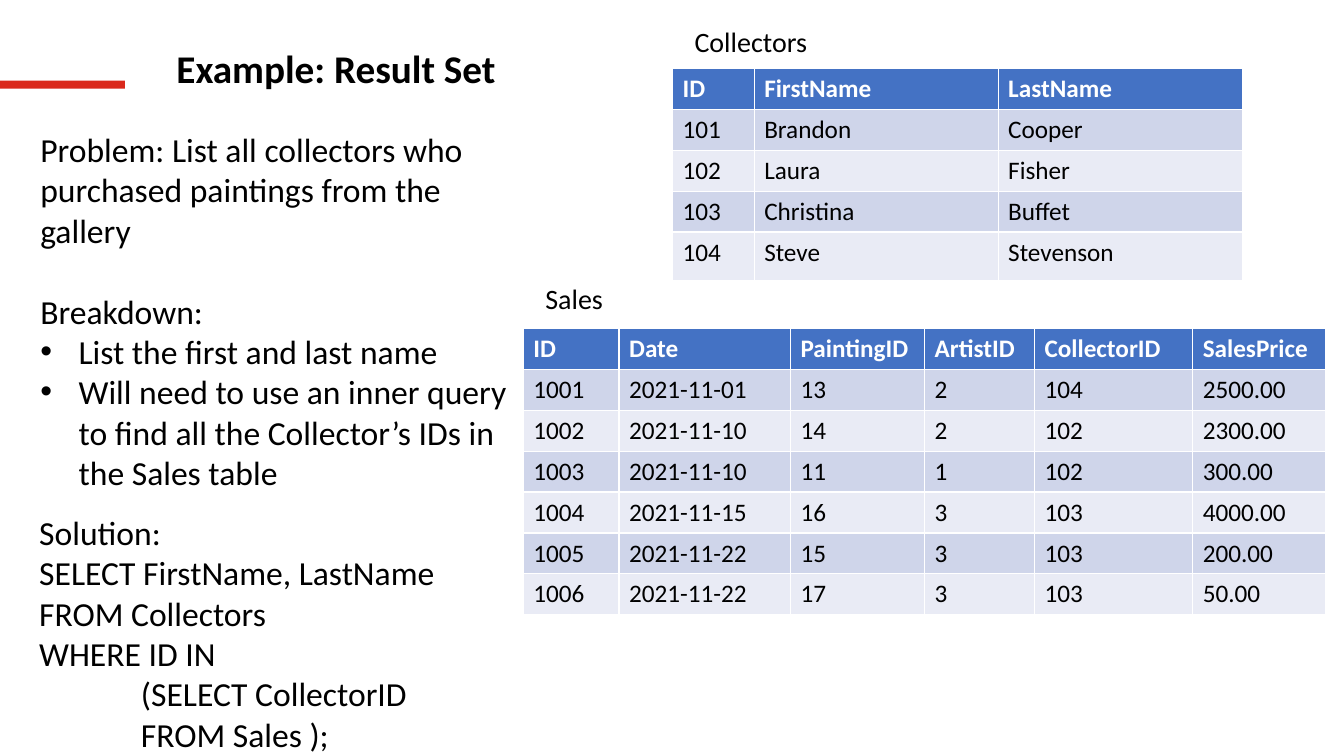
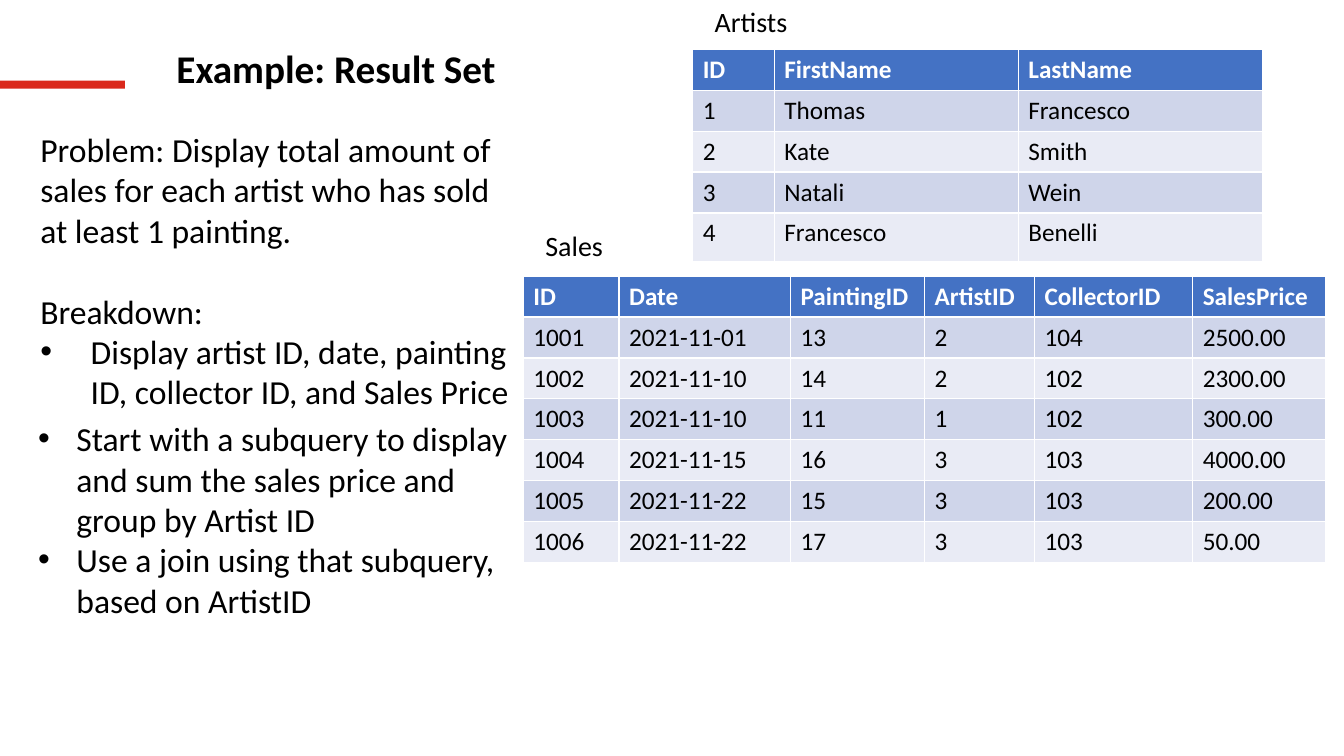
from lxml.etree import SubElement
from pptx import Presentation
from pptx.dml.color import RGBColor
from pptx.enum.shapes import MSO_SHAPE as SHAPE
from pptx.enum.text import MSO_ANCHOR as ANCHOR, MSO_AUTO_SIZE as AUTO, PP_ALIGN as ALIGN
from pptx.oxml.ns import qn
from pptx.util import Pt

PX = 9144
FONT = "Calibri"
BLACK = RGBColor(0x00, 0x00, 0x00)
WHITE = RGBColor(0xFF, 0xFF, 0xFF)
RED = RGBColor(0xDA, 0x29, 0x1C)
HEADER = RGBColor(0x44, 0x72, 0xC4)
BANDS = (RGBColor(0xE9, 0xEB, 0xF5), RGBColor(0xCF, 0xD5, 0xEA))

BODY_SIZE, LABEL_SIZE, CELL_SIZE = 24, 20, 18
BLANK_LINE = 29
PLAIN = (12, 0, 0)
AFTER_GAP = (12, 0, BLANK_LINE)
NESTED = (113, 0, 0)
BULLET = (50, -38, 0)
WIDE_BULLET = (62, -50, 0)

NAME_COLS = (81, 242, 242)
NAME_HEAD = ("ID", "FirstName", "LastName")
COLLECTORS = (
    NAME_HEAD,
    ("101", "Brandon", "Cooper"),
    ("102", "Laura", "Fisher"),
    ("103", "Christina", "Buffet"),
    ("104", "Steve", "Stevenson"),
)
ARTISTS = (
    NAME_HEAD,
    ("1", "Thomas", "Francesco"),
    ("2", "Kate", "Smith"),
    ("3", "Natali", "Wein"),
    ("4", "Francesco", "Benelli"),
)
SALES_COLS = (95, 170, 133, 109, 157, 132)
SALES = (
    ("ID", "Date", "PaintingID", "ArtistID", "CollectorID", "SalesPrice"),
    ("1001", "2021-11-01", "13", "2", "104", "2500.00"),
    ("1002", "2021-11-10", "14", "2", "102", "2300.00"),
    ("1003", "2021-11-10", "11", "1", "102", "300.00"),
    ("1004", "2021-11-15", "16", "3", "103", "4000.00"),
    ("1005", "2021-11-22", "15", "3", "103", "200.00"),
    ("1006", "2021-11-22", "17", "3", "103", "50.00"),
)


def px(*lengths):
    """Turn px lengths into EMU."""
    return [round(n * PX) for n in lengths]


def add_run(p, text, size, color=BLACK, bold=False):
    """Add one formatted run to a paragraph."""
    r = p.add_run()
    r.text = text
    r.font.name, r.font.size, r.font.bold = FONT, Pt(size), bold
    r.font.color.rgb = color


def place(sp, box):
    """Move a shape to its box and fix its text frame."""
    sp.left, sp.top, sp.width, sp.height = px(*box)
    tf = sp.text_frame
    tf.word_wrap, tf.auto_size = True, AUTO.NONE
    return tf


def fill_text(sp, box, lines, size=BODY_SIZE):
    """Write (text, style) lines into a shape placed at the box."""
    tf = place(sp, box)
    tf.vertical_anchor = ANCHOR.TOP
    for i, (text, (left, hang, before)) in enumerate(lines):
        p = tf.paragraphs[0] if i == 0 else tf.add_paragraph()
        p.line_spacing, p.space_before = 1.0, Pt(before)
        pPr = p._p.get_or_add_pPr()
        margin, indent = px(left, hang)
        pPr.set("marL", str(margin))
        pPr.set("indent", str(indent))
        if hang:
            SubElement(pPr, qn("a:buFont"), typeface="Arial")
            SubElement(pPr, qn("a:buChar"), char="•")
        else:
            SubElement(pPr, qn("a:buNone"))
        add_run(p, text, size)


def add_text(s, box, lines, size=BODY_SIZE):
    """Add a text box with its lines."""
    fill_text(s.shapes.add_textbox(*px(*box)), box, lines, size)


def add_example(prs, box, lines):
    """Add a slide with the title, the red bar and the problem text."""
    s = prs.slides.add_slide(prs.slide_layouts[1])
    tf = place(s.shapes.title, (165, 39, 1158, 57))
    tf.vertical_anchor = ANCHOR.MIDDLE
    p = tf.paragraphs[0]
    p.alignment = ALIGN.LEFT
    add_run(p, "Example: Result Set", 28, bold=True)
    bar = s.shapes.add_shape(SHAPE.RECTANGLE, *px(0, 80, 124, 8))
    bar.shadow.inherit = False
    bar.fill.solid()
    bar.fill.fore_color.rgb = RED
    bar.line.fill.background()
    fill_text(s.placeholders[1], box, lines)
    return s


def add_table(s, box, cols, rows, extra=0):
    """Add a banded table with equal rows, the last one taller by extra."""
    x, y, height = box
    table = s.shapes.add_table(len(rows), len(cols), *px(x, y, sum(cols), height)).table
    for column, width in zip(table.columns, px(*cols)):
        column.width = width
    for row in table.rows:
        row.height, = px((height - extra) / len(rows))
    row.height += px(extra)[0]
    for i, values in enumerate(rows):
        for j, value in enumerate(values):
            cell = table.cell(i, j)
            cell.fill.solid()
            cell.fill.fore_color.rgb = BANDS[i % 2] if i else HEADER
            add_run(cell.text_frame.paragraphs[0], value, CELL_SIZE,
                    BLACK if i else WHITE, bold=i == 0)


def add_names(s, x, y, label, rows):
    """Add a labelled table of people."""
    add_text(s, (x, y, 200, 44), [(label, PLAIN)], LABEL_SIZE)
    add_table(s, (x, y + 49, 208), NAME_COLS, rows, extra=8)


def add_sales(s, x, y):
    """Add the labelled sales table."""
    add_text(s, (x, y, 168, 44), [("Sales", PLAIN)], LABEL_SIZE)
    add_table(s, (x, y + 52, 284), SALES_COLS, SALES)


def add_collectors_slide(prs):
    """Build the inner query example."""
    s = add_example(prs, (18, 123, 524, 374), [
        ("Problem: List all collectors who purchased paintings from the gallery", PLAIN),
        ("Breakdown:", AFTER_GAP),
        ("List the first and last name", BULLET),
        ("Will need to use an inner query to find all the Collector’s IDs in the Sales table",
         BULLET),
    ])
    add_text(s, (17, 503, 605, 252), [
        ("Solution:", PLAIN),
        ("SELECT FirstName, LastName", PLAIN),
        ("FROM Collectors", PLAIN),
        ("WHERE ID IN", PLAIN),
        ("(SELECT CollectorID", NESTED),
        ("FROM Sales );", NESTED),
    ])
    add_names(s, 667, 19, "Collectors", COLLECTORS)
    add_sales(s, 519, 274)


def add_artists_slide(prs):
    """Build the subquery and join example."""
    s = add_example(prs, (18, 123, 501, 293), [
        ("Problem: Display total amount of sales for each artist who has sold "
         "at least 1 painting.", PLAIN),
        ("Breakdown:", AFTER_GAP),
        ("Display artist ID, date, painting ID, collector ID, and Sales Price", WIDE_BULLET),
    ])
    add_text(s, (16, 410, 520, 212), [
        ("Start with a subquery to display and sum the sales price and group by Artist ID",
         BULLET),
        ("Use a join using that subquery, based on ArtistID", BULLET),
    ])
    add_names(s, 687, 0, "Artists", ARTISTS)
    add_sales(s, 519, 222)


def main():
    """Build and save the presentation."""
    prs = Presentation()
    prs.slide_width, prs.slide_height = px(1333, 750)
    add_collectors_slide(prs)
    add_artists_slide(prs)
    prs.save("out.pptx")


if __name__ == "__main__":
    main()
